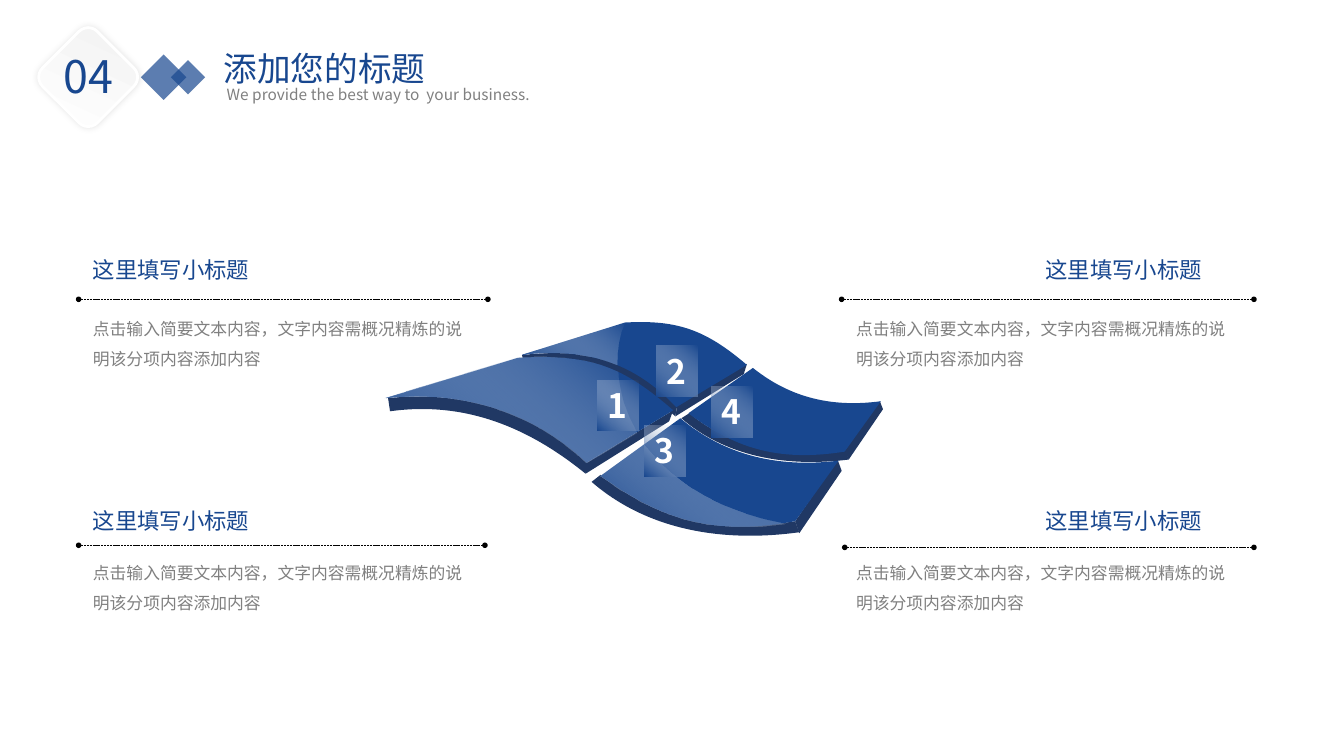
from dataclasses import dataclass

from lxml import etree
from pptx import Presentation
from pptx import util as u
from pptx.dml import color as dc
from pptx.enum import dml, shapes, text
from pptx.oxml import ns

Pt = u.Pt


@dataclass(frozen=True)
class Theme:
    font: str = "Noto Sans CJK SC"
    blue: str = "18478F"
    navy: str = "203864"
    grey: str = "808080"
    pale: str = "F2F2F2"
    white: str = "FFFFFF"
    black: str = "000000"
    huge: int = 32
    big: int = 24
    head: int = 16
    body: int = 12
    small: int = 11


T = Theme()
HEAD = "这里填写小标题"
BODY = "点击输入简要文本内容，文字内容需概况精炼的说明该分项内容添加内容"

PANELS = [
    dict(x=59.3, y=179.3, shift=0, rule=(-3.1, 34.5, 292.3), drop=37.4),
    dict(x=59.3, y=358.9, shift=0, rule=(-3.1, 30.6, 290.2), drop=32.1),
    dict(x=604.4, y=179.3, shift=135.4, rule=(-3.2, 34.5, 294.5), drop=37.4),
    dict(x=604.4, y=358.9, shift=135.4, rule=(-1, 32.1, 292.3), drop=32.1),
]

TILES = [
    dict(num="2", badge=(194, 17.3),
         edge=[(97.9, 23.8), (147.6, 18.7, 175, 26.6, 208.8, 59.8), (207.4, 67.7),
               (167.8, 31, 141.8, 26.6, 99.4, 31)],
         side=[(208.8, 59.8), (258.5, 30.2), (256.3, 37.4), (207.4, 67.7)],
         top=[(171.4, 0.7), (208.8, -1.4, 229, 5.8, 258.5, 31), (208.1, 61.2),
              (177.8, 28.8, 143.3, 18.7, 97.9, 23.8)],
         gloss=[(171.4, 0.7), (167, 10.1, 165.6, 20.2, 165.6, 31),
                (145.4, 22.3, 123.1, 20.9, 97.2, 23.8)]),
    dict(num="1", badge=(151.7, 41.8),
         edge=[(2.2, 54.7), (52.6, 49, 100.8, 61.9, 144.7, 99.4), (143.3, 108.7),
               (92.2, 67, 45.4, 58.3, 3.6, 64.1)],
         side=[(144, 100.8), (205.9, 63.4), (203, 71.3), (143.3, 108.7)],
         top=[(95, 25.9), (148.3, 23, 169.9, 32.4, 205.9, 63.4), (144, 100.8),
              (105.1, 64.1, 55.4, 49, 0.7, 54.7)],
         gloss=[(113, 25.2), (134.6, 25.9, 150.5, 28.8, 165.6, 36),
                (166.3, 51.1, 171.4, 66.2, 179.3, 79.2), (143.3, 100.8),
                (105.1, 64.1, 54.7, 49, 0, 54.7), (94.3, 25.9),
                (100.8, 25.9, 107.3, 25.2, 113, 25.2)]),
    dict(num="4", badge=(233, 46.1),
         edge=[(211.7, 69.1), (242.6, 95.8, 285.1, 104.4, 331.2, 98.6), (329, 92.2),
               (282.2, 99.4, 244.1, 87.8, 217.4, 65.5)],
         side=[(328.3, 92.2), (353.5, 56.9), (355.7, 62.6), (331.2, 98.6)],
         top=[(262.8, 33.1), (283.7, 49.7, 311.8, 62.6, 354.2, 56.9), (328.3, 92.9),
              (279.4, 100.8, 248.4, 89.3, 216.7, 65.5)]),
    dict(num="3", badge=(185.4, 74.2),
         edge=[(147.6, 114.5), (185.8, 147.6, 238.3, 158.4, 295.9, 150.5), (293, 142.6),
               (235.4, 151.9, 187.9, 136.8, 154.1, 109.4)],
         side=[(293, 142.6), (323.3, 98.6), (326.2, 106.6), (295.9, 151.2)],
         top=[(211, 69.1), (236.2, 90, 271.4, 105.8, 324, 99.4), (293, 142.6),
              (231.8, 154.1, 195.1, 139.7, 154.1, 110.2)],
         gloss=[(185, 87.8), (205.9, 115.9, 242.6, 136.8, 285.8, 144),
                (229, 152.6, 193.7, 138.2, 154.1, 110.2)]),
]


def apply(obj, vals):
    for key, val in vals.items():
        setattr(obj, key, val)


def rgb(code):
    return dc.RGBColor.from_string(code)


def child(node, tag, **vals):
    return etree.SubElement(node, ns.qn("a:" + tag), vals)


def paint(shape, code, alpha=None):
    shape.shadow.inherit = False
    shape.line.fill.background()
    shape.fill.solid()
    shape.fill.fore_color.rgb = rgb(code)
    if alpha is not None:
        fade(shape, alpha)


def fade(shape, alpha):
    tone = next(shape._element.spPr.iter(ns.qn("a:srgbClr")))
    child(tone, "alpha", val=str(alpha * 1000))


def blend(shape, first, last, angle):
    shape.shadow.inherit = False
    shape.line.fill.background()
    shape.fill.gradient()
    shape.fill.gradient_angle = 360 - angle
    for stop, code in zip(shape.fill.gradient_stops, (first, last)):
        stop.color.rgb = rgb(code)


def write(shape, words, size, code, wrap=True, bold=False, align="LEFT", space=None):
    frame = shape.text_frame
    apply(frame, dict(text=words, word_wrap=wrap,
                      auto_size=text.MSO_AUTO_SIZE.SHAPE_TO_FIT_TEXT,
                      vertical_anchor=text.MSO_ANCHOR.TOP))
    para = frame.paragraphs[0]
    apply(para, dict(alignment=getattr(text.PP_ALIGN, align), line_spacing=space))
    font = para.runs[0].font
    apply(font, dict(size=Pt(size), name=T.font, bold=bold))
    font.color.rgb = rgb(code)
    child(para.runs[0]._r.get_or_add_rPr(), "ea", typeface=T.font)


def label(slide, box, *args, **vals):
    write(slide.shapes.add_textbox(*map(Pt, box)), *args, **vals)


def pairs(step):
    return list(zip(step[::2], step[1::2]))


def trace(steps, parts=40):
    pts = [steps[0]]
    for step in steps[1:]:
        if len(step) == 2:
            pts.append(step)
            continue
        ends = [pts[-1], *pairs(step)]
        for i in range(1, parts + 1):
            t = i / parts
            mix = ((1 - t) ** 3, 3 * t * (1 - t) ** 2, 3 * t * t * (1 - t), t ** 3)
            pts.append(tuple(sum(m * p[k] for m, p in zip(mix, ends)) for k in (0, 1)))
    return pts


def curve(slide, x, y, steps):
    pts = [(Pt(x + a), Pt(y + b)) for a, b in trace(steps)]
    pen = slide.shapes.build_freeform(*pts[0])
    pen.add_line_segments(pts[1:], close=True)
    form = pen.convert_to_shape()
    route = next(form._element.iter(ns.qn("a:path")))
    for node in list(route):
        route.remove(node)
    for i, step in enumerate(steps):
        tag = "moveTo" if i == 0 else "lnTo" if len(step) == 2 else "cubicBezTo"
        node = child(route, tag)
        for a, b in pairs(step):
            child(node, "pt", x=str(Pt(x + a) - form.left), y=str(Pt(y + b) - form.top))
    child(route, "close")
    return form


def tile(slide, box, data):
    x, y = box
    for part, code in (("edge", T.navy), ("side", T.navy), ("top", T.blue), ("gloss", None)):
        if part not in data:
            continue
        form = curve(slide, x, y, data[part])
        if code:
            paint(form, code)
        else:
            blend(form, T.white, T.blue, 130)
            fade(form, 0)
    left, top = data["badge"]
    badge = slide.shapes.add_shape(shapes.MSO_SHAPE.RECTANGLE,
                                   Pt(x + left), Pt(y + top), Pt(29.5), Pt(36.4))
    blend(badge, T.white, T.blue, 130)
    fade(badge, 0)
    write(badge, data["num"], T.big, T.white, wrap=False, bold=True)


def panel(slide, x, y, shift, rule, drop):
    label(slide, (x + shift, y, 155.5, 26.7), HEAD, T.head, T.blue, align="JUSTIFY")
    label(slide, (x, y + drop, 287.3, 48.2), BODY, T.body, T.grey, space=1.5)
    left, top, wide = rule
    line = slide.shapes.add_connector(shapes.MSO_CONNECTOR.STRAIGHT, Pt(x + left),
                                      Pt(y + top), Pt(x + left + wide), Pt(y + top))
    apply(line.line, dict(width=Pt(0.5), dash_style=dml.MSO_LINE.SQUARE_DOT))
    line.line.color.rgb = rgb(T.black)
    for tag in ("headEnd", "tailEnd"):
        child(line.line._ln, tag, type="oval", w="sm", len="sm")
    child(line._element.spPr, "effectLst")


def header(slide, box):
    x, y = box
    for left, top, size in ((70.1, 16.2, 23), (90.3, 19.1, 17.3)):
        gem = slide.shapes.add_shape(shapes.MSO_SHAPE.RECTANGLE,
                                     Pt(x + left), Pt(y + top), Pt(size), Pt(size))
        gem.rotation = 225
        paint(gem, T.blue, 70)
    label(slide, (x + 119.5, y + 29.5, 289.4, 20.9),
          "We provide the best way to  your business.", T.small, T.grey)
    title = slide.shapes.title
    apply(title, dict(left=Pt(x + 117.3), top=Pt(y + 3), width=Pt(234), height=Pt(36.4)))
    write(title, "添加您的标题", T.big, T.blue)
    card = slide.shapes.add_shape(shapes.MSO_SHAPE.ROUNDED_RECTANGLE,
                                  Pt(x), Pt(y), Pt(55.4), Pt(55.4))
    card.rotation = 45
    blend(card, T.white, T.pale, 250)
    card.line.color.rgb = rgb(T.white)
    card.line.width = Pt(2)
    glow = child(card._element.spPr.find(ns.qn("a:effectLst")), "outerShdw",
                 blurRad=str(Pt(5)), dist="0", dir="0", algn="ctr", rotWithShape="0")
    child(child(glow, "srgbClr", val=T.black), "alpha", val="11000")
    label(slide, (x + 2.9, y + 3.8, 52.6, 46), "04", T.huge, T.blue, wrap=False)


def main():
    deck = Presentation()
    apply(deck, dict(slide_width=Pt(960), slide_height=Pt(540)))
    slide = deck.slides.add_slide(deck.slide_layouts[5])
    for data in TILES:
        tile(slide, (275, 229.7), data)
    for data in PANELS:
        panel(slide, **data)
    header(slide, (35.3, 27.4))
    deck.save("out.pptx")


if __name__ == "__main__":
    main()
